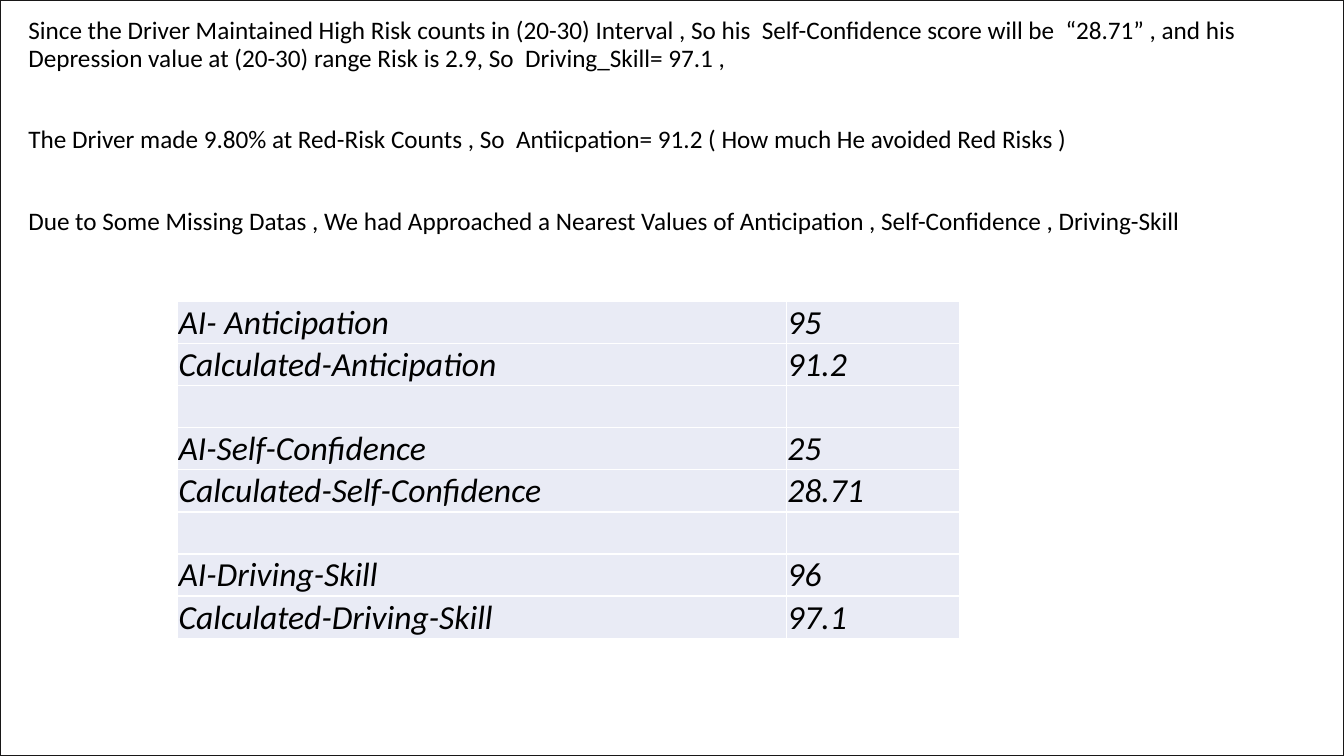
from lxml.etree import SubElement
from pptx import Presentation
from pptx.dml.color import RGBColor
from pptx.enum.shapes import MSO_SHAPE
from pptx.enum.text import MSO_ANCHOR, MSO_AUTO_SIZE
from pptx.oxml import parse_xml
from pptx.oxml.ns import nsdecls, qn
from pptx.util import Cm, Pt

COLORS = {"text": "000000", "cell": "E9EBF5", "border": "FFFFFF", "frame": "181717"}
FONT = "Calibri"
SLIDE_WIDTH, SLIDE_HEIGHT = Cm(33.87), Cm(19.05)

REMARKS = [
    "Since the Driver Maintained High Risk counts in (20-30) Interval , So his  "
    "Self-Confidence score will be  “28.71” , and his Depression value at (20-30) "
    "range Risk is 2.9, So  Driving_Skill= 97.1 ,",
    "The Driver made 9.80% at Red-Risk Counts , So  Antiicpation= 91.2 "
    "( How much He avoided Red Risks )",
    "Due to Some Missing Datas , We had Approached a Nearest Values of "
    "Anticipation , Self-Confidence , Driving-Skill",
]
SCORES = [
    ("AI- Anticipation", "95"),
    ("Calculated-Anticipation", "91.2"),
    ("", ""),
    ("AI-Self-Confidence", "25"),
    ("Calculated-Self-Confidence", "28.71"),
    ("", ""),
    ("AI-Driving-Skill", "96"),
    ("Calculated-Driving-Skill", "97.1"),
]


def color(name):
    return RGBColor.from_string(COLORS[name])


def write(paragraph, text, size=18, italic=False, line_spacing=None, space_before=None):
    paragraph.line_spacing = line_spacing
    paragraph.space_before = space_before
    paragraph.font.size = Pt(size)
    if text:
        run = paragraph.add_run()
        run.text = text
        run.font.name = FONT
        run.font.size = Pt(size)
        run.font.italic = italic
        run.font.color.rgb = color("text")


def remove_bullet(paragraph):
    properties = paragraph._p.get_or_add_pPr()
    properties.set("marL", "0")
    properties.set("indent", "0")
    bullet = SubElement(properties, qn("a:buNone"))
    default = properties.find(qn("a:defRPr"))
    if default is not None:
        default.addprevious(bullet)


def fill_remarks(slide):
    title = slide.shapes.title._element
    title.getparent().remove(title)
    body = slide.placeholders[1]
    body.left, body.top, body.width, body.height = Cm(0.46), Cm(0.33), Cm(31.09), Cm(16.84)
    frame = body.text_frame
    frame.word_wrap = True
    frame.auto_size = MSO_AUTO_SIZE.NONE
    frame.vertical_anchor = MSO_ANCHOR.TOP
    for index, remark in enumerate(REMARKS):
        paragraph = frame.add_paragraph() if index else frame.paragraphs[0]
        write(paragraph, remark, line_spacing=0.9, space_before=Pt(39 if index else 10))
        remove_bullet(paragraph)


def add_borders(cell):
    properties = cell._tc.get_or_add_tcPr()
    for index, side in enumerate(("lnL", "lnR", "lnT", "lnB")):
        border = parse_xml(
            f'<a:{side} {nsdecls("a")} w="{Pt(1)}"><a:solidFill>'
            f'<a:srgbClr val="{COLORS["border"]}"/></a:solidFill></a:{side}>'
        )
        properties.insert(index, border)


def format_cell(cell, text):
    cell.fill.solid()
    cell.fill.fore_color.rgb = color("cell")
    cell.margin_left = cell.margin_right = cell.margin_top = Cm(0.02)
    cell.margin_bottom = 0
    cell.vertical_anchor = MSO_ANCHOR.BOTTOM
    write(cell.text_frame.paragraphs[0], text, size=24, italic=True)
    add_borders(cell)


def add_scores(slide):
    row_height = Cm(1.06)
    table = slide.shapes.add_table(
        len(SCORES), 2, Cm(4.48), Cm(7.6), Cm(19.71), row_height * len(SCORES)
    ).table
    table.first_row = False
    table.horz_banding = False
    for column, width in zip(table.columns, (15.34, 4.37)):
        column.width = Cm(width)
    for row, texts in zip(table.rows, SCORES):
        row.height = row_height
        for cell, text in zip(row.cells, texts):
            format_cell(cell, text)


def add_frame(slide):
    shape = slide.shapes.add_shape(MSO_SHAPE.RECTANGLE, 0, 0, SLIDE_WIDTH, SLIDE_HEIGHT)
    shape.shadow.inherit = False
    shape.fill.background()
    shape.line.color.rgb = color("frame")
    shape.line.width = Pt(1)


def main():
    presentation = Presentation()
    presentation.slide_width, presentation.slide_height = SLIDE_WIDTH, SLIDE_HEIGHT
    slide = presentation.slides.add_slide(presentation.slide_layouts[1])
    fill_remarks(slide)
    add_scores(slide)
    add_frame(slide)
    presentation.save("out.pptx")


if __name__ == "__main__":
    main()
